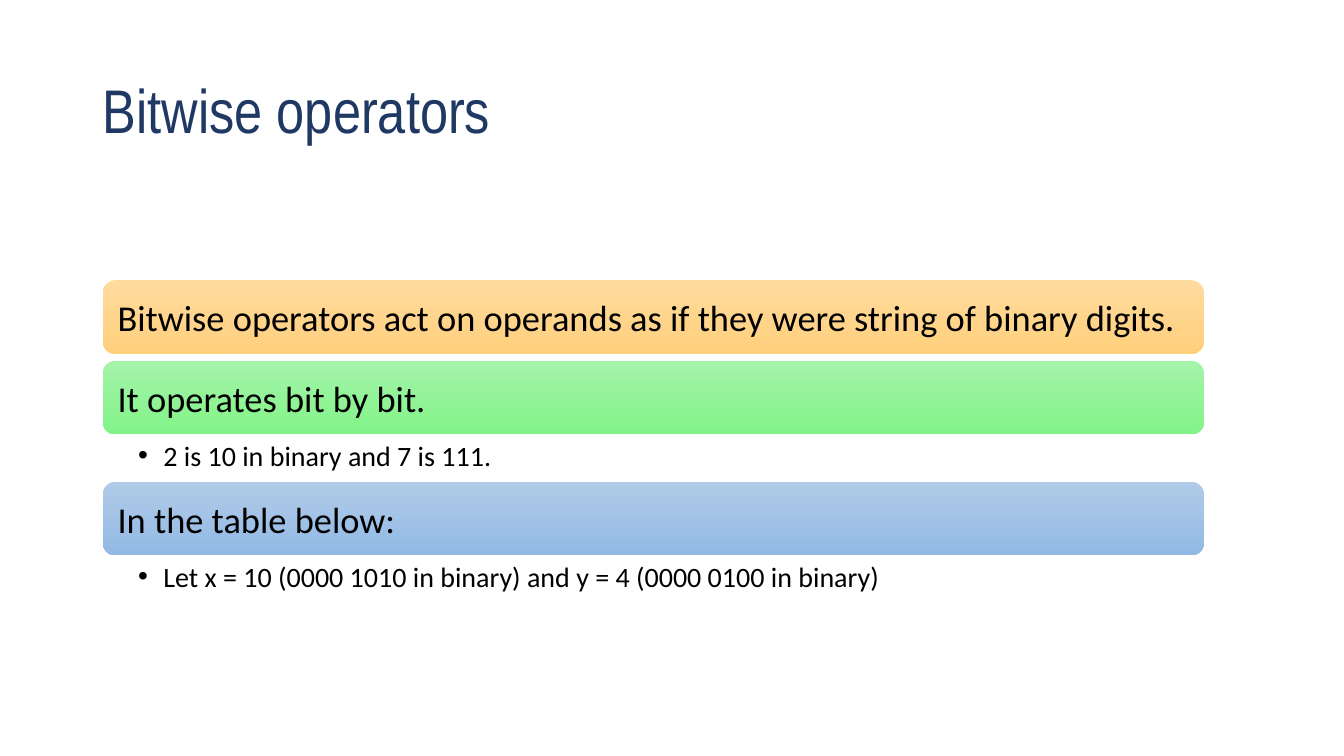
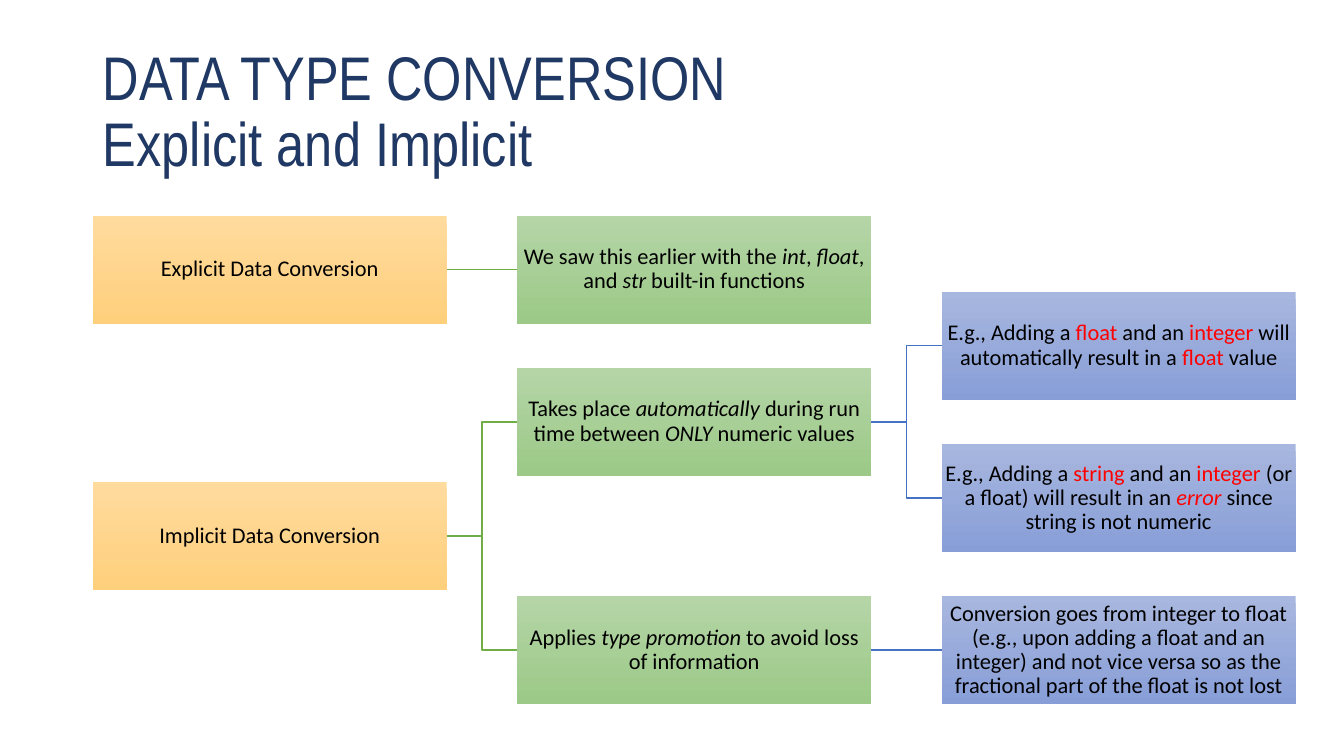
from lxml.etree import SubElement
from pptx import Presentation
from pptx.dml.color import RGBColor
from pptx.enum.shapes import MSO_CONNECTOR, MSO_SHAPE
from pptx.enum.text import MSO_ANCHOR, MSO_AUTO_SIZE, PP_ALIGN
from pptx.oxml.ns import qn
from pptx.util import Inches, Pt

HUES = {
    "title": "203864",
    "text": "000000",
    "key": "FF0000",
    "green": "70AD47",
    "blue": "4472C4",
}
FADES = {
    "gold": ("FFDB9E", "FFD07C"),
    "mint": ("A4F4A9", "82F388"),
    "sky": ("B1CBE9", "92B9E4"),
    "leaf": ("B5D5A7", "9CC987"),
    "iris": ("A8B7DF", "889ED7"),
}


def write(frame, parts, size, font="Calibri", hue="text", align=PP_ALIGN.LEFT,
          anchor=MSO_ANCHOR.MIDDLE, pads=(0.1, 0.05, 0.1, 0.05), space=1.0):
    frame.word_wrap = True
    frame.auto_size = MSO_AUTO_SIZE.NONE
    frame.vertical_anchor = anchor
    frame.margin_left, frame.margin_top, frame.margin_right, frame.margin_bottom = map(Inches, pads)
    para = frame.paragraphs[0]
    para.alignment = align
    para.line_spacing = space
    for part in parts:
        if part == "\n":
            para.add_line_break()
            continue
        words, marks = (part, "") if isinstance(part, str) else part
        run = para.add_run()
        run.text = words
        run.font.size = Pt(size)
        run.font.name = font
        run.font.italic = "i" in marks
        run.font.color.rgb = RGBColor.from_string(HUES["key" if "k" in marks else hue])
    return para


class Deck:
    def __init__(self):
        self.show = Presentation()
        self.show.slide_width = Inches(13.33)
        self.show.slide_height = Inches(7.5)
        self.slide = None

    def page(self, *parts):
        self.slide = self.show.slides.add_slide(self.show.slide_layouts[5])
        title = self.slide.shapes.title
        title.left, title.top, title.width, title.height = map(Inches, (0.92, 0.4, 11.5, 1.45))
        write(title.text_frame, parts, 44, font="Arial Narrow", hue="title", space=0.9)

    def panel(self, kind, spot, fade, parts, size, **style):
        shape = self.slide.shapes.add_shape(kind, *map(Inches, spot))
        shape.shadow.inherit = False
        shape.line.fill.background()
        shape.fill.gradient()
        shape.fill.gradient_angle = 270
        for stop, tint in zip(shape.fill.gradient_stops, FADES[fade]):
            stop.color.rgb = RGBColor.from_string(tint)
        write(shape.text_frame, parts, size, **style)
        return shape

    def bar(self, top, fade, words):
        bar = self.panel(MSO_SHAPE.ROUNDED_RECTANGLE, (1.02, top, 10.92, 0.73), fade,
                         [words], 26, pads=[0.11] * 4)
        bar.adjustments[0] = 0.17

    def note(self, top, words):
        box = self.slide.shapes.add_textbox(*map(Inches, (1.02, top, 10.92, 0.47)))
        para = write(box.text_frame, [words], 20, anchor=MSO_ANCHOR.TOP,
                     pads=(0.35, 0.04, 0.2, 0.04))
        props = para._p.get_or_add_pPr()
        props.set("marL", str(Inches(0.25)))
        props.set("indent", str(Inches(-0.25)))
        SubElement(props, qn("a:buFont")).set("typeface", "Arial")
        SubElement(props, qn("a:buChar")).set("char", "•")

    def node(self, col, row, *parts):
        fade = ("gold", "leaf", "iris")[col]
        spot = (0.92 + 4.21 * col, 2.14 + 1.51 * row, 3.51, 1.07)
        return self.panel(MSO_SHAPE.RECTANGLE, spot, fade, parts, 16,
                          align=PP_ALIGN.CENTER, pads=[0.01] * 4, space=0.9)

    def link(self, start, end, hue):
        kind = MSO_CONNECTOR.STRAIGHT if start.top == end.top else MSO_CONNECTOR.ELBOW
        line = self.slide.shapes.add_connector(kind, 0, 0, 0, 0)
        line.begin_connect(start, 3)
        line.end_connect(end, 1)
        line.line.width = Pt(1)
        line.line.color.rgb = RGBColor.from_string(HUES[hue])
        SubElement(line._element.spPr, qn("a:effectLst"))


def bits(deck):
    deck.page("Bitwise operators")
    rows = [
        ("gold", "Bitwise operators act on operands as if they were string of binary digits.", None),
        ("mint", "It operates bit by bit.", "2 is 10 in binary and 7 is 111."),
        ("sky", "In the table below:",
         "Let x = 10 (0000 1010 in binary) and y = 4 (0000 0100 in binary)"),
    ]
    top = 2.78
    for fade, words, note in rows:
        deck.bar(top, fade, words)
        top += 0.73
        if note:
            deck.note(top, note)
        top += 0.47 if note else 0.07


def types(deck):
    deck.page("DATA TYPE CONVERSION", "\n", "Explicit and Implicit")
    told = deck.node(0, 0, "Explicit Data Conversion")
    seen = deck.node(1, 0, "We saw this earlier with the ", ("int", "i"), ", ", ("float", "i"),
                     ", and ", ("str", "i"), " built-in functions")
    tacit = deck.node(0, 1.75, "Implicit Data Conversion")
    auto = deck.node(1, 1, "Takes place ", ("automatically", "i"), " during run time between ",
                     ("ONLY", "i"), " numeric values")
    raised = deck.node(1, 2.5, "Applies ", ("type promotion ", "i"), "to avoid loss of information")
    works = deck.node(2, 0.5, "E.g., Adding a ", ("float", "k"), " and an ", ("integer", "k"),
                      " will automatically result in a ", ("float", "k"), " value")
    fails = deck.node(2, 1.5, "E.g., Adding a ", ("string", "k"), " and an ", ("integer", "k"),
                      " (or a float) will result in an ", ("error", "ki"),
                      " since string is not numeric")
    kept = deck.node(2, 2.5, "Conversion goes from integer to float (e.g., upon adding a float "
                     "and an integer) and not vice versa so as the fractional part of the float "
                     "is not lost")
    links = {
        "green": [(told, seen), (tacit, auto), (tacit, raised)],
        "blue": [(auto, works), (auto, fails), (raised, kept)],
    }
    for hue, pairs in links.items():
        for start, end in pairs:
            deck.link(start, end, hue)


def main():
    deck = Deck()
    bits(deck)
    types(deck)
    deck.show.save("out.pptx")


if __name__ == "__main__":
    main()
